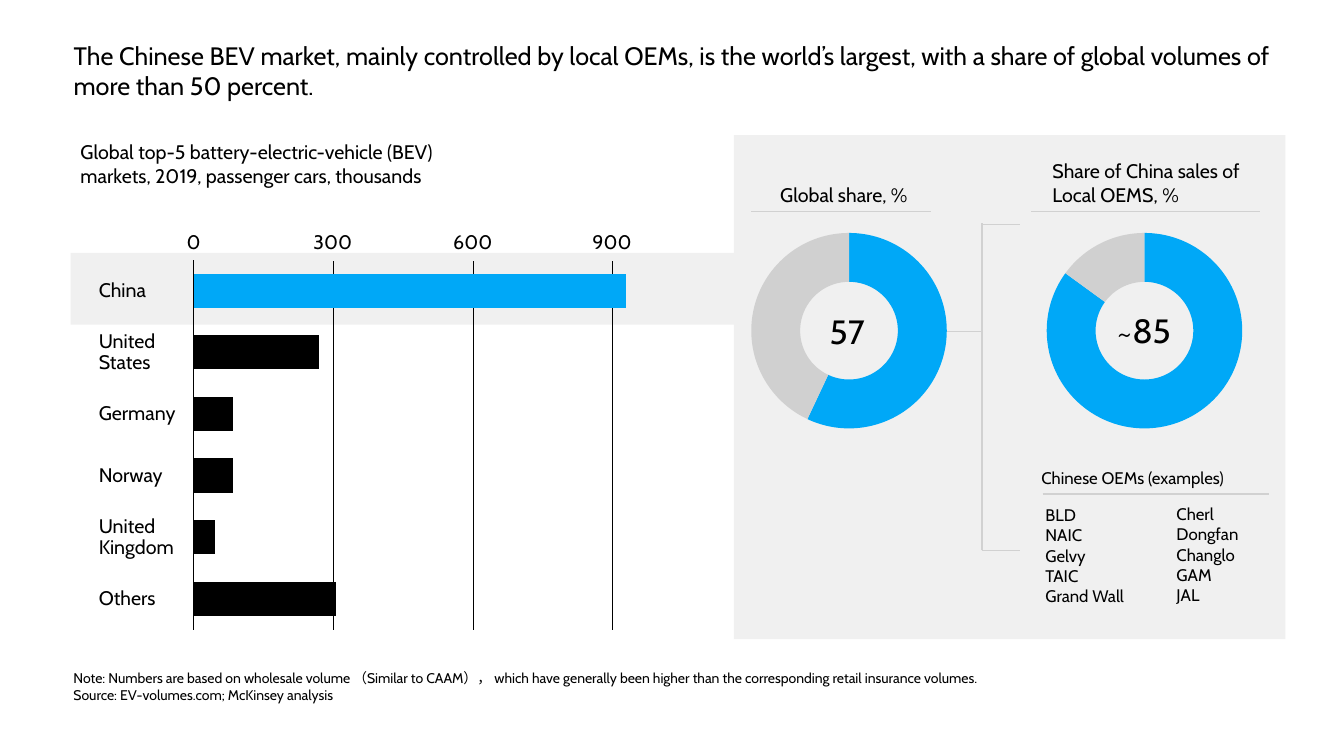
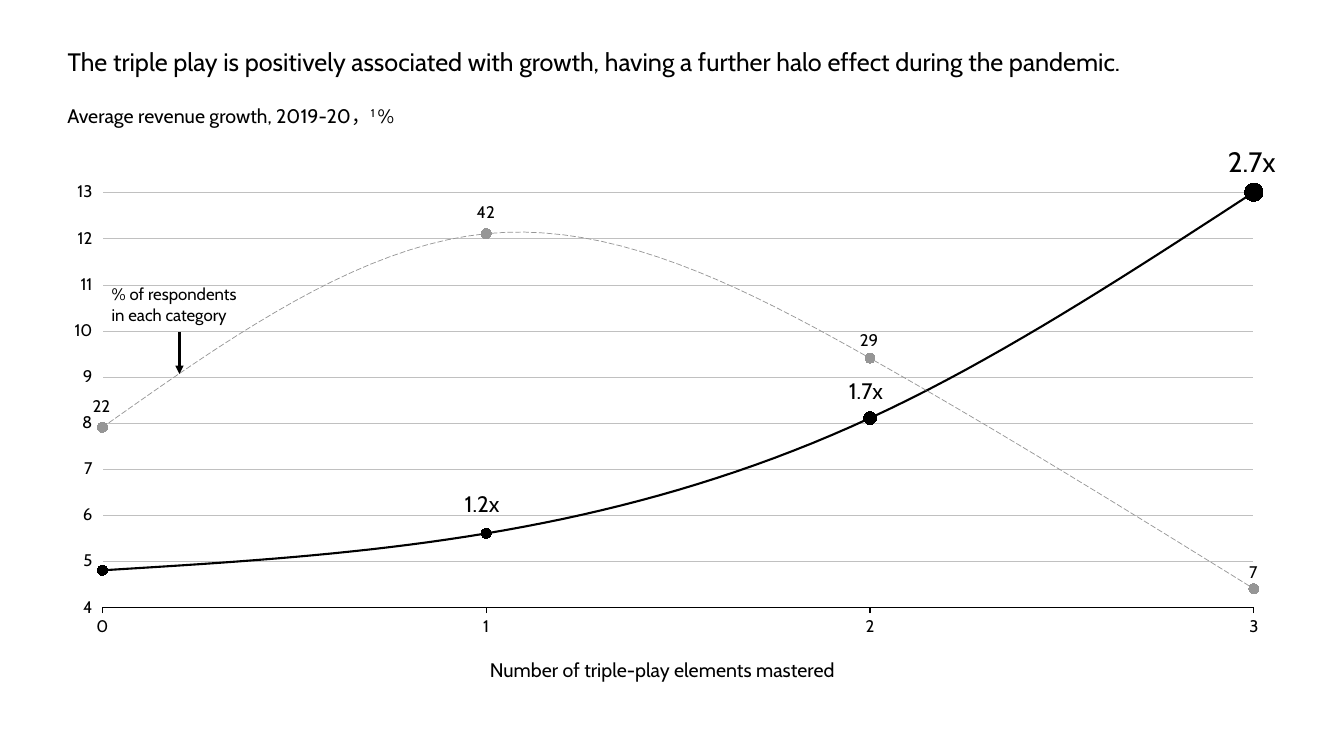
from dataclasses import dataclass

from pptx import Presentation
from pptx.chart.data import CategoryChartData, XyChartData
from pptx.dml.color import RGBColor
from pptx.enum.chart import XL_CHART_TYPE, XL_MARKER_STYLE, XL_TICK_LABEL_POSITION, XL_TICK_MARK
from pptx.enum.dml import MSO_LINE
from pptx.enum.shapes import MSO_CONNECTOR, MSO_SHAPE
from pptx.enum.text import MSO_ANCHOR, MSO_AUTO_SIZE, PP_ALIGN
from pptx.oxml import parse_xml
from pptx.oxml.ns import nsdecls, qn
from pptx.util import Inches, Pt

LEFT, CENTER = PP_ALIGN.LEFT, PP_ALIGN.CENTER
TOP, MIDDLE, BOTTOM = MSO_ANCHOR.TOP, MSO_ANCHOR.MIDDLE, MSO_ANCHOR.BOTTOM
NO_LABELS = XL_TICK_LABEL_POSITION.NONE
NO_TICK, TICK_OUT = XL_TICK_MARK.NONE, XL_TICK_MARK.OUTSIDE
CIRCLE, NO_MARKER = XL_MARKER_STYLE.CIRCLE, XL_MARKER_STYLE.NONE


@dataclass(frozen=True)
class Theme:
    font: str = "Cabin"
    black: RGBColor = RGBColor(0x00, 0x00, 0x00)
    white: RGBColor = RGBColor(0xFF, 0xFF, 0xFF)
    blue: RGBColor = RGBColor(0x00, 0xA8, 0xF7)
    panel: RGBColor = RGBColor(0xF0, 0xF0, 0xF0)
    ring: RGBColor = RGBColor(0xD0, 0xD0, 0xD0)
    rule: RGBColor = RGBColor(0xD1, 0xD1, 0xD1)
    grid: RGBColor = RGBColor(0xC0, 0xC0, 0xC0)
    grey: RGBColor = RGBColor(0x96, 0x96, 0x96)
    note: int = 10
    small: int = 12
    body: int = 14
    medium: int = 16
    title: int = 18
    large: int = 20
    figure: int = 24


theme = Theme()


def add_text(page, lines, left, top, width, height, size, wrap=False,
             tight=False, anchor=TOP, align=LEFT):
    """Add one paragraph per line; a line is a string or a tuple of runs and breaks."""
    box = page.shapes.add_textbox(Inches(left), Inches(top), Inches(width), Inches(height))
    frame = box.text_frame
    frame.word_wrap = wrap or tight
    frame.auto_size = MSO_AUTO_SIZE.NONE if tight else MSO_AUTO_SIZE.SHAPE_TO_FIT_TEXT
    frame.vertical_anchor = anchor
    if tight:
        frame.margin_left = frame.margin_right = frame.margin_top = frame.margin_bottom = 0
    for index, line in enumerate(lines):
        para = frame.add_paragraph() if index else frame.paragraphs[0]
        para.alignment = align
        if tight:
            para.line_spacing = 0.9
        for text in (line,) if isinstance(line, str) else line:
            if text == "\n":
                para.add_line_break()
                continue
            span = para.add_run()
            span.text = text
            span.font.name = theme.font
            span.font.size = Pt(size)
            span.font.color.rgb = theme.black
    for line_break in box.element.findall(".//" + qn("a:br")):
        line_break.append(parse_xml(
            f'<a:rPr {nsdecls("a")} sz="{size * 100}"><a:latin typeface="{theme.font}"/></a:rPr>'))
    return box


def add_line(page, x1, y1, x2, y2, color, weight):
    line = page.shapes.add_connector(
        MSO_CONNECTOR.STRAIGHT, Inches(x1), Inches(y1), Inches(x2), Inches(y2))
    line.line.color.rgb = color
    line.line.width = Pt(weight)
    line.element.spPr.append(parse_xml(f"<a:effectLst {nsdecls('a')}/>"))
    return line


deck = Presentation()
deck.slide_width, deck.slide_height = Inches(13.33), Inches(7.5)

# Pages and titles
titles = [
    ("The Chinese BEV market, mainly controlled by local OEMs, is the world’s largest, "
     "with a share of global volumes of more than 50 percent.", 0.63, 0.35, 0.71),
    ("The triple play is positively associated with growth, having a further halo effect "
     "during the pandemic.", 0.57, 0.41, 0.4),
]
pages = []
for text, left, top, height in titles:
    page = deck.slides.add_slide(deck.slide_layouts[5])
    title = page.shapes.title
    title.left, title.top = Inches(left), Inches(top)
    title.width, title.height = Inches(12.25), Inches(height)
    frame = title.text_frame
    frame.word_wrap = True
    frame.auto_size = MSO_AUTO_SIZE.NONE
    frame.vertical_anchor = TOP
    para = frame.paragraphs[0]
    para.alignment = LEFT
    span = para.add_run()
    span.text = text
    span.font.name = theme.font
    span.font.size = Pt(theme.title)
    span.font.color.rgb = theme.black
    pages.append(page)
market, growth = pages
charts = []  # (chart, inner plot area as fractions: x, y, width, height)

# Market page: grey band and panel
for left, top, width, height in [(0.7, 2.51, 6.58, 0.71), (7.28, 1.34, 5.47, 5)]:
    panel = market.shapes.add_shape(
        MSO_SHAPE.RECTANGLE, Inches(left), Inches(top), Inches(width), Inches(height))
    panel.shadow.inherit = False
    panel.fill.solid()
    panel.fill.fore_color.rgb = theme.panel
    panel.line.fill.background()

# Headings and rules
add_text(market, ["Global top-5 battery-electric-vehicle (BEV)",
                  "markets, 2019, passenger cars, thousands"], 0.7, 1.34, 4.07, 0.57, theme.body)
add_text(market, ["Global share, %"], 7.64, 1.77, 1.57, 0.34, theme.body)
add_text(market, ["Share of China sales of", "Local OEMS, %"], 10.34, 1.53, 2.24, 0.57, theme.body)
add_text(market, ["Chinese OEMs (examples)"], 10.23, 4.59, 2.19, 0.3, theme.small)
for x1, y1, x2, y2 in [
    (7.45, 2.1, 9.23, 2.1), (10.23, 2.1, 12.5, 2.1), (10.34, 4.9, 12.59, 4.9),
    # Bracket from the global share to the local share
    (9.23, 3.29, 9.74, 3.29), (9.74, 5.46, 9.74, 2.21),
    (9.74, 2.23, 10.12, 2.23), (9.74, 5.46, 10.12, 5.46),
]:
    add_line(market, x1, y1, x2, y2, theme.rule, 1)

# Example manufacturers
for names, left, top in [
    (["BLD", "NAIC", "Gelvy", "TAIC", "Grand Wall"], 10.27, 4.96),
    (["Cherl", "Dongfan", "Changlo", "GAM", "JAL"], 11.57, 4.95),
]:
    add_text(market, names, left, top, 1.1, 1.11, theme.small, wrap=True)

# Value scale
for value, x in [("0", 1.92), ("300", 3.3), ("600", 4.69), ("900", 6.07)]:
    if value != "0":
        add_line(market, x, 2.59, x, 6.25, theme.black, 0.25)
    add_text(market, [value], x - 0.25, 2.31, 0.5, 0.21, theme.body,
             tight=True, anchor=BOTTOM, align=CENTER)

# Bar chart of markets
data = CategoryChartData()
data.categories = ["1", "2", "3", "4", "5", "6"]
data.add_series("Series 1", [100, 29, 9, 9, 5, 33])
bars = market.shapes.add_chart(XL_CHART_TYPE.BAR_STACKED, Inches(1.83), Inches(2.49),
                               Inches(5.72), Inches(3.85), data).chart
charts.append((bars, (0.016, 0.023, 0.968, 0.953)))
plot = bars.plots[0]
plot.gap_width, plot.overlap, plot.vary_by_categories = 80, 100, False
series = plot.series[0]
for fill, color in [(series.format.fill, theme.black),
                    (series.points[0].format.fill, theme.blue)]:
    fill.solid()
    fill.fore_color.rgb = color
for axis in (bars.category_axis, bars.value_axis):
    axis.tick_label_position = NO_LABELS
    axis.major_tick_mark = axis.minor_tick_mark = NO_TICK
    axis.has_major_gridlines = False
bars.category_axis.reverse_order = True
bars.category_axis.format.line.color.rgb = theme.black
bars.category_axis.format.line.width = Pt(0.75)
bars.value_axis.format.line.fill.background()
bars.value_axis.minimum_scale, bars.value_axis.maximum_scale = 0, 129

# Market names
countries = ["China", ("United", "\n", "States"), "Germany", "Norway",
             ("United", "\n", "Kingdom"), "Others"]
for index, country in enumerate(countries):
    add_text(market, [country], 0.98, 2.68 + 0.61 * index, 0.9, 0.42, theme.body,
             tight=True, anchor=MIDDLE)

# Doughnuts with their central figures
for left, share, label, label_left, label_top, label_width in [
    (7.36, 57, "57", 8.13, 3.04, 0.59),
    (10.29, 85, "~85", 10.98, 3.03, 0.78),
]:
    data = CategoryChartData()
    data.categories = ["1", "2"]
    data.add_series("Series 1", [share, 100 - share])
    ring = market.shapes.add_chart(XL_CHART_TYPE.DOUGHNUT, Inches(left), Inches(2.22),
                                   Inches(2.12), Inches(2.12), data).chart
    charts.append((ring, (0.043, 0.043, 0.915, 0.915)))
    ring.plots[0].vary_by_categories = False
    ring.element.find(".//" + qn("c:holeSize")).set("val", "70")
    for index, color in enumerate([theme.blue, theme.ring]):
        part = ring.plots[0].series[0].points[index].format
        part.fill.solid()
        part.fill.fore_color.rgb = color
        part.line.fill.background()
    add_text(market, [label], label_left, label_top, label_width, 0.5, theme.figure)

# Note and source
add_text(market, [
    "Note: Numbers are based on wholesale volume （Similar to CAAM）， which have generally "
    "been higher than the corresponding retail insurance volumes.",
    "Source: EV-volumes.com; McKinsey analysis",
], 0.63, 6.59, 12.12, 0.44, theme.note, wrap=True)

# Growth page: subtitle with a raised footnote mark
subtitle = add_text(growth, [("Average revenue growth, 2019-20，", "1 ", "%")],
                    0.57, 0.98, 3.8, 0.34, theme.body)
subtitle.element.findall(".//" + qn("a:rPr"))[1].set("baseline", "30000")

# Grid lines, evenly spaced
for index in range(9):
    y = 5.57 - (5.57 - 1.91) / 8 * index
    add_line(growth, 1.01, y, 12.43, y, theme.grid, 0.25)

# Curves of respondents and growth
data = XyChartData()
for name, values in [("Series 1", [7.9, 12.1, 9.4, 4.4]), ("Series 2", [4.8, 5.6, 8.1, 13])]:
    points = data.add_series(name)
    for x, y in enumerate(values):
        points.add_data_point(x, y)
curves = growth.shapes.add_chart(XL_CHART_TYPE.XY_SCATTER_SMOOTH_NO_MARKERS, Inches(0.53),
                                 Inches(1.71), Inches(12.15), Inches(4.8), data).chart
charts.append((curves, (0.04, 0.041, 0.94, 0.858)))
curves.plots[0].vary_by_categories = False
for smooth in curves.element.findall(".//" + qn("c:smooth")):
    smooth.set("val", "1")
for series, color, weight, dash, sizes in zip(
        curves.plots[0].series, [theme.grey, theme.black], [0.5, 1.5],
        [MSO_LINE.LONG_DASH, MSO_LINE.SOLID], [[7, 7, 7, 7], [7, 7, 9, 13]]):
    series.marker.style = NO_MARKER
    points = [series.points[index] for index in range(len(sizes))]
    # Points repeat the line so that each segment keeps its style
    for item in [series, *points]:
        item.format.line.color.rgb = color
        item.format.line.width = Pt(weight)
        item.format.line.dash_style = dash
    for point, size in zip(points, sizes):
        point.marker.style = CIRCLE
        point.marker.size = size
        point.marker.format.fill.solid()
        point.marker.format.fill.fore_color.rgb = color
        point.marker.format.line.color.rgb = color

for axis, low, high, color, number_format in [
    (curves.category_axis, 0, 3, theme.black, '0;"-"0'),
    (curves.value_axis, 4, 13, theme.white, '#,##0;"-"#,##0'),
]:
    axis.minimum_scale, axis.maximum_scale, axis.major_unit = low, high, 1
    axis.major_tick_mark, axis.minor_tick_mark = TICK_OUT, NO_TICK
    axis.has_major_gridlines = False
    axis.format.line.color.rgb = color
    axis.format.line.width = Pt(0.75)
    labels = axis.tick_labels
    labels.number_format, labels.number_format_is_linked = number_format, False
    labels.font.name = theme.font
    labels.font.size = Pt(theme.small)
    labels.font.color.rgb = theme.black

# Point labels
for text, left, top, width, height, size in [
    ("22", 0.82, 3.88, 0.39, 0.3, theme.small),
    ("42", 4.63, 1.95, 0.39, 0.3, theme.small),
    ("29", 8.43, 3.22, 0.39, 0.3, theme.small),
    ("7", 12.29, 5.52, 0.29, 0.3, theme.small),
    ("1.2x", 4.51, 4.81, 0.62, 0.37, theme.medium),
    ("1.7x", 8.32, 3.69, 0.62, 0.37, theme.medium),
    ("2.7x", 12.08, 1.38, 0.73, 0.44, theme.large),
]:
    add_text(growth, [text], left, top, width, height, size)

# Callout and axis title
add_text(growth, ["% of respondents", "in each category"], 1.01, 2.77, 1.54, 0.51, theme.small)
arrow = add_line(growth, 1.78, 3.29, 1.78, 3.71, theme.black, 1.5)
arrow.element.spPr.find(qn("a:ln")).append(
    parse_xml(f'<a:tailEnd {nsdecls("a")} type="triangle"/>'))
add_text(growth, ["Number of triple-play elements mastered"], 4.76, 6.48, 3.92, 0.34, theme.body)

# Shared chart style: font, clear background, fixed plot area
for chart, (x, y, width, height) in charts:
    chart.has_legend = chart.has_title = False
    chart.font.name = theme.font
    chart.font.size = Pt(theme.note)
    chart.font.color.rgb = theme.black
    clear = f'<c:spPr {nsdecls("c", "a")}><a:noFill/><a:ln><a:noFill/></a:ln></c:spPr>'
    chart.element.find(qn("c:chart")).addnext(parse_xml(clear))
    area = chart.element.find(".//" + qn("c:plotArea"))
    area.append(parse_xml(clear))
    for layout in area.findall(qn("c:layout")):
        area.remove(layout)
    area.insert(0, parse_xml(
        f'<c:layout {nsdecls("c")}><c:manualLayout><c:layoutTarget val="inner"/>'
        '<c:xMode val="edge"/><c:yMode val="edge"/>'
        f'<c:x val="{x}"/><c:y val="{y}"/><c:w val="{width}"/><c:h val="{height}"/>'
        '</c:manualLayout></c:layout>'))

deck.save("out.pptx")
